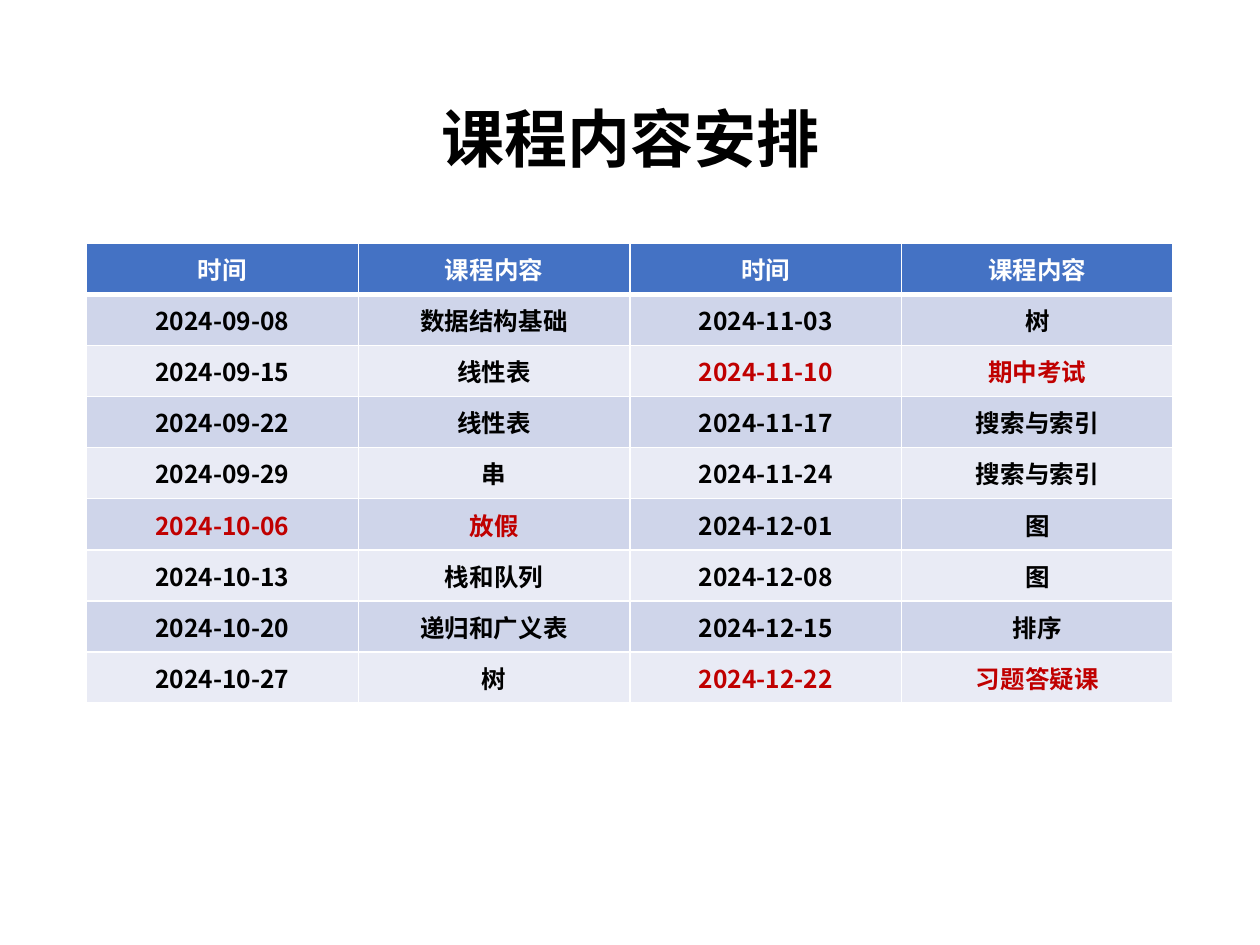
"""Build the course schedule slide with a title and a two-part timetable."""

from lxml.etree import SubElement
from pptx import Presentation
from pptx.dml.color import RGBColor
from pptx.enum.text import MSO_ANCHOR, PP_ALIGN
from pptx.oxml.ns import qn
from pptx.util import Pt

FONT = "Noto Sans CJK SC"
BLACK, WHITE, RED = "000000", "FFFFFF", "C00000"
HEADER_FILL, BAND_FILLS = "4472C4", ("CFD5EA", "E9EBF5")
HEADINGS = ("时间", "课程内容")
SPECIAL = {"放假", "期中考试", "习题答疑课"}
LESSONS = [
    ("2024-09-08", "数据结构基础"),
    ("2024-09-15", "线性表"),
    ("2024-09-22", "线性表"),
    ("2024-09-29", "串"),
    ("2024-10-06", "放假"),
    ("2024-10-13", "栈和队列"),
    ("2024-10-20", "递归和广义表"),
    ("2024-10-27", "树"),
    ("2024-11-03", "树"),
    ("2024-11-10", "期中考试"),
    ("2024-11-17", "搜索与索引"),
    ("2024-11-24", "搜索与索引"),
    ("2024-12-01", "图"),
    ("2024-12-08", "图"),
    ("2024-12-15", "排序"),
    ("2024-12-22", "习题答疑课"),
]


def color(value):
    return RGBColor.from_string(value)


def write(frame, text, size=14, fill=BLACK, bold=True, line_spacing=None):
    para = frame.paragraphs[0]
    para.alignment = PP_ALIGN.CENTER
    para.line_spacing = line_spacing
    span = para.add_run()
    span.text = text
    span.font.size = Pt(size)
    span.font.bold = bold
    span.font.color.rgb = color(fill)
    span.font.name = FONT
    SubElement(span.font._element, qn("a:ea"), typeface=FONT)


def draw_borders(cell, **widths):
    properties = cell._tc.get_or_add_tcPr()
    for side in "LRTB":
        width = Pt(widths.get(side, 1))
        line = SubElement(properties, qn(f"a:ln{side}"), w=str(width))
        fill = SubElement(line, qn("a:solidFill"))
        SubElement(fill, qn("a:srgbClr"), val=WHITE)


class SlideBuilder:
    def __init__(self, deck):
        self.page = deck.slides.add_slide(deck.slide_layouts[5])
        self.left, self.width = 49.5, 621

    def title(self, text, top, height):
        box = self.page.shapes.title
        box.left, box.top = Pt(self.left), Pt(top)
        box.width, box.height = Pt(self.width), Pt(height)
        box.text_frame.vertical_anchor = MSO_ANCHOR.MIDDLE
        write(box.text_frame, text, size=36, line_spacing=0.9)

    def cell(self, cell, text, text_color, fill, **borders):
        cell.vertical_anchor = MSO_ANCHOR.MIDDLE
        draw_borders(cell, **borders)
        cell.fill.solid()
        cell.fill.fore_color.rgb = color(fill)
        write(cell.text_frame, text, fill=text_color)

    def timetable(self, lessons, top, row_height):
        half = len(lessons) // 2
        table = self.page.shapes.add_table(
            half + 1, 4, Pt(self.left), Pt(top),
            Pt(self.width), Pt(row_height * (half + 1)),
        ).table
        for row in table.rows:
            row.height = Pt(row_height)
        for column, heading in enumerate(HEADINGS * 2):
            self.cell(table.cell(0, column), heading, WHITE, HEADER_FILL, B=3)
        for index, lesson in enumerate(lessons):
            part, row = divmod(index, half)
            text_color = RED if lesson[1] in SPECIAL else BLACK
            for offset, text in enumerate(lesson):
                self.cell(
                    table.cell(row + 1, part * 2 + offset), text, text_color,
                    BAND_FILLS[row % 2], T=1 if row else 3,
                )


def main():
    deck = Presentation()
    deck.slide_width, deck.slide_height = Pt(720), Pt(540)
    slide = SlideBuilder(deck)
    slide.title("课程内容安排", top=28.75, height=104.4)
    slide.timetable(LESSONS, top=139, row_height=29.2)
    deck.save("out.pptx")


if __name__ == "__main__":
    main()
